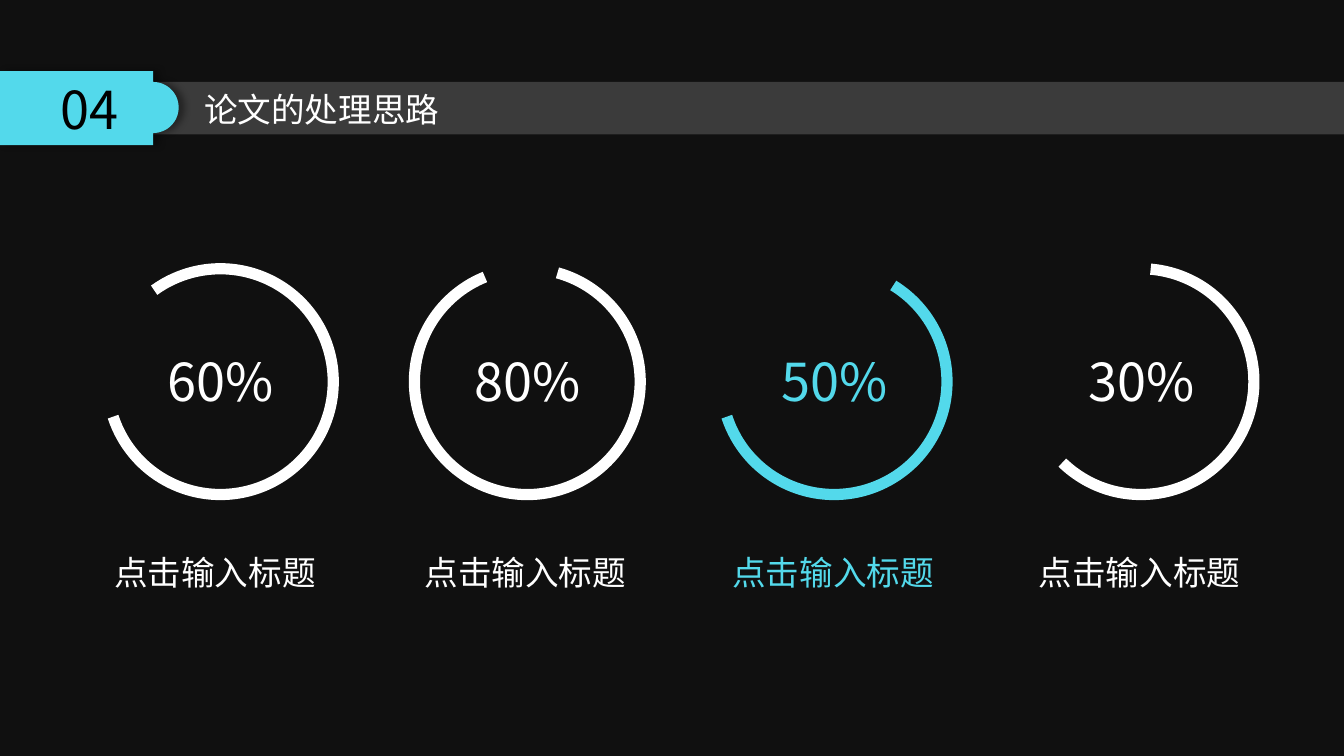
from math import cos, pi, sin

from lxml import etree
from pptx import Presentation
from pptx.dml.color import RGBColor
from pptx.enum.shapes import MSO_SHAPE as SHAPE
from pptx.enum.text import MSO_ANCHOR as ANCHOR, MSO_AUTO_SIZE as FIT, PP_ALIGN as ALIGN
from pptx.oxml import parse_xml
from pptx.oxml.ns import nsdecls, qn
from pptx.util import Inches, Pt

BLACK, WHITE, CYAN, DARK = "000000", "FFFFFF", "53D9EB", "101010"
LATIN, HAN = "Noto Sans CJK JP", "Noto Sans CJK SC"


def rgb(value):
    return RGBColor.from_string(value)


def write(tf, text, size=18, color=WHITE, font=HAN, align=None):
    p = tf.paragraphs[0]
    p.alignment = align
    r = p.add_run()
    r.text = text
    r.font.size = Pt(size)
    r.font.name = font
    r.font.color.rgb = rgb(color)
    etree.SubElement(r.font._element, qn("a:ea"), typeface=font)


class Deck:
    """Holds the style and the current slide."""

    def __init__(self, width, height):
        self.prs = Presentation()
        self.prs.slide_width, self.prs.slide_height = Inches(width), Inches(height)
        self.s = self.prs.slides.add_slide(self.prs.slide_layouts[6])
        fill = self.s.background.fill
        fill.solid()
        fill.fore_color.rgb = rgb(DARK)

    def paint(self, sp, color):
        sp.shadow.inherit = False
        sp.fill.solid()
        sp.fill.fore_color.rgb = rgb(color)
        sp.line.fill.background()

    def band(self, x, y, w, h, color, alpha):
        sp = self.s.shapes.add_shape(SHAPE.RECTANGLE, Inches(x), Inches(y), Inches(w), Inches(h))
        self.paint(sp, color)
        clr = sp._element.spPr.find(".//" + qn("a:srgbClr"))
        etree.SubElement(clr, qn("a:alpha"), val=str(alpha * 1000))

    def tab(self, points, color, text):
        start, *rest = [(Inches(x), Inches(y)) for x, y in points]
        builder = self.s.shapes.build_freeform(*start)
        builder.add_line_segments(rest, close=True)
        sp = builder.convert_to_shape()
        self.paint(sp, color)
        # Soft shadow to the right
        sp._element.spPr.find(qn("a:effectLst")).append(parse_xml(
            f'<a:outerShdw {nsdecls("a")} blurRad="{Pt(4)}" dist="{Pt(3)}" dir="0" algn="l" '
            f'rotWithShape="0"><a:srgbClr val="{BLACK}"><a:alpha val="40000"/></a:srgbClr>'
            '</a:outerShdw>'))
        sp.text_frame.vertical_anchor = ANCHOR.MIDDLE
        write(sp.text_frame, text, size=28, color=BLACK, font=LATIN, align=ALIGN.CENTER)

    def arc(self, x, y, size, start, end, color):
        sp = self.s.shapes.add_shape(SHAPE.ARC, Inches(x), Inches(y), Inches(size), Inches(size))
        sp.shadow.inherit = False
        # Angles are stored in 60000ths of a degree, adjustments in 100000ths
        sp.adjustments[0], sp.adjustments[1] = start * 0.6, end * 0.6
        sp.fill.background()
        sp.line.color.rgb = rgb(color)
        sp.line.width = Pt(6)

    def text(self, x, y, w, h, text, **style):
        tf = self.s.shapes.add_textbox(Inches(x), Inches(y), Inches(w), Inches(h)).text_frame
        tf.word_wrap = False
        tf.auto_size = FIT.SHAPE_TO_FIT_TEXT
        write(tf, text, **style)


def main():
    deck = Deck(10, 10 * 9 / 16)

    # Header: band, numbered tab with a round nose, title
    deck.band(0, 0.61, 10, 0.39, WHITE, alpha=18)
    steps = 32
    angles = [pi * (i / steps - 0.5) for i in range(steps + 1)]
    nose = [(1.14 + 0.19 * cos(a), 0.8 + 0.19 * sin(a)) for a in angles]
    deck.tab([(0, 0.53), (1.14, 0.53), *nose, (1.14, 1.08), (0, 1.08)], CYAN, "04")
    deck.text(1.42, 0.61, 1.97, 0.4, "论文的处理思路")

    # Rings: share, start and end angle, label left edge, colour
    rings = [
        ("60%", 234.07, 161.92, 0.75, WHITE),
        ("80%", 285.49, 247.96, 3.06, WHITE),
        ("50%", 301.58, 161.92, 5.35, CYAN),
        ("30%", 274.9, 134.16, 7.63, WHITE),
    ]
    pitch = (7.65 - 0.8) / (len(rings) - 1)
    for i, (share, start, end, label_x, color) in enumerate(rings):
        x = 0.8 + i * pitch
        deck.arc(x, 2, 1.68, start, end, color)
        deck.text(x + 0.35, 2.55, 0.99, 0.57, share, size=28, color=color)
        deck.text(label_x, 4.06, 1.72, 0.4, "点击输入标题", color=color)

    deck.prs.save("out.pptx")


if __name__ == "__main__":
    main()
